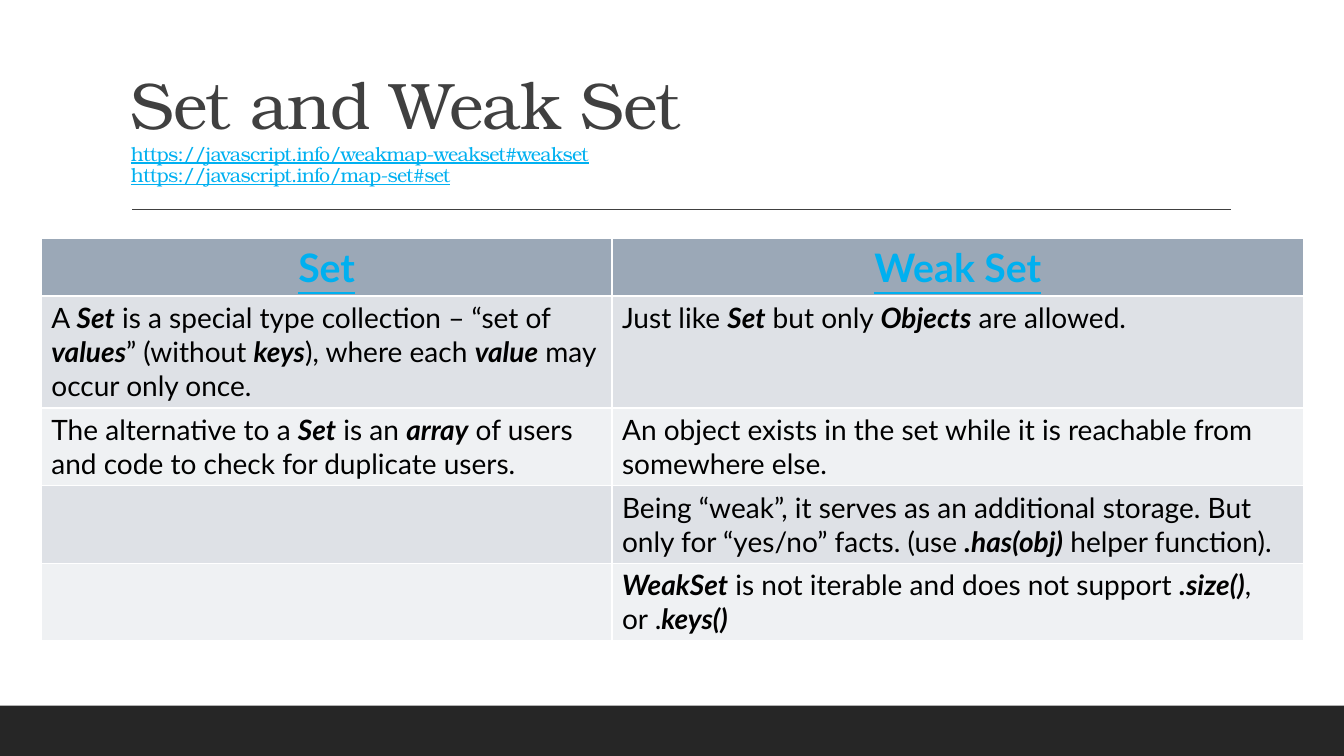
from dataclasses import dataclass

from lxml import etree
from pptx import Presentation
from pptx.dml.color import RGBColor
from pptx.enum.shapes import MSO_CONNECTOR, MSO_SHAPE
from pptx.enum.text import MSO_ANCHOR, PP_ALIGN
from pptx.oxml.ns import qn
from pptx.util import Inches, Pt

RECTANGLE = MSO_SHAPE.RECTANGLE
STRAIGHT = MSO_CONNECTOR.STRAIGHT
BOTTOM = MSO_ANCHOR.BOTTOM
CENTER, LEFT = PP_ALIGN.CENTER, PP_ALIGN.LEFT


@dataclass(frozen=True)
class Theme:
    """Fonts, type sizes and colours of the slide."""
    title_font: str = "TeX Gyre Bonum"
    body_font: str = "Lato"
    title_size: float = 47
    link_size: float = 14
    header_size: float = 28
    body_size: float = 20
    ink: str = "000000"
    grey: str = "404040"
    link: str = "00B0F0"
    footer: str = "262626"
    header_fill: str = "9BA8B7"
    bands: tuple[str, str] = ("DEE1E6", "EFF1F3")


@dataclass(frozen=True)
class TextStyle:
    """Font settings shared by a whole paragraph."""
    name: str
    size: float
    color: str
    bold: bool = False
    underline: bool = False


@dataclass(frozen=True)
class Row:
    """Height and the two texts of a table row, with *emphasis* marked."""
    height: float
    set_text: str
    weak_set_text: str


THEME = Theme()
TITLE = TextStyle(THEME.title_font, THEME.title_size, THEME.grey)
LINK = TextStyle(THEME.title_font, THEME.link_size, THEME.link, underline=True)
HEADER = TextStyle(THEME.body_font, THEME.header_size, THEME.link, True, True)
BODY = TextStyle(THEME.body_font, THEME.body_size, THEME.ink)

TITLE_LINES = [
    ("Set and Weak Set", TITLE),
    ("https://javascript.info/weakmap-weakset#weakset", LINK),
    ("https://javascript.info/map-set#set", LINK),
]
COLUMN_WIDTHS = (5.66, 6.86)
ROWS = [
    Row(0.56, "Set", "Weak Set"),
    Row(1.11,
        "A *Set* is a special type collection – “set of *values*” (without *keys*), "
        "where each *value* may occur only once.",
        "Just like *Set* but only *Objects* are allowed."),
    Row(0.77,
        "The alternative to a *Set* is an *array* of users and code to check for "
        "duplicate users.",
        "An object exists in the set while it is reachable from somewhere else."),
    Row(0.77, "",
        "Being “weak”, it serves as an additional storage. But only for “yes/no” "
        "facts. (use *.has(obj)* helper function)."),
    Row(0.77, "",
        "*WeakSet* is not iterable and does not support *.size()*, or .*keys()*"),
]


def rgb(color: str) -> RGBColor:
    """Convert a hex string to a colour."""
    return RGBColor.from_string(color)


def style_paragraph(p, style: TextStyle) -> None:
    """Apply a text style to a paragraph."""
    p.font.name = style.name
    p.font.size = Pt(style.size)
    p.font.color.rgb = rgb(style.color)
    p.font.bold = style.bold
    p.font.underline = style.underline


def add_footer(slide) -> None:
    """Draw the dark band along the bottom edge."""
    sp = slide.shapes.add_shape(
        RECTANGLE, Inches(0), Inches(7), Inches(13.33), Inches(0.5))
    sp.shadow.inherit = False
    sp.fill.solid()
    sp.fill.fore_color.rgb = rgb(THEME.footer)
    sp.line.fill.background()


def add_rule(slide) -> None:
    """Draw the thin line under the title."""
    line = slide.shapes.add_connector(
        STRAIGHT, Inches(1.31), Inches(2.08), Inches(12.21), Inches(2.08))
    line.line.color.rgb = rgb(THEME.grey)
    line.line.width = Pt(1)
    etree.SubElement(line._element.spPr, qn("a:effectLst"))


def add_title(slide) -> None:
    """Write the title with its two addresses below."""
    sp = slide.shapes.add_textbox(
        Inches(1.2), Inches(0.31), Inches(11), Inches(1.59))
    tf = sp.text_frame
    tf.word_wrap = True
    tf.vertical_anchor = BOTTOM
    for i, (text, style) in enumerate(TITLE_LINES):
        p = tf.add_paragraph() if i else tf.paragraphs[0]
        p.line_spacing = 0.9
        style_paragraph(p, style)
        p.font._rPr.set("spc", "-50")
        p.add_run().text = text


def fill_cell(cell, text: str, style: TextStyle, fill: str, align: PP_ALIGN) -> None:
    """Colour a cell and write its text, with marked parts in bold italic."""
    cell.fill.solid()
    cell.fill.fore_color.rgb = rgb(fill)
    p = cell.text_frame.paragraphs[0]
    p.alignment = align
    style_paragraph(p, style)
    for i, part in enumerate(text.split("*")):
        if part:
            r = p.add_run()
            r.text = part
            r.font.bold = style.bold or i % 2 == 1
            r.font.italic = i % 2 == 1


def add_comparison(slide) -> None:
    """Build the table that compares the two collections."""
    table = slide.shapes.add_table(
        len(ROWS), len(COLUMN_WIDTHS), Inches(0.41), Inches(2.37),
        Inches(sum(COLUMN_WIDTHS)), Inches(sum(row.height for row in ROWS))).table
    for column, width in zip(table.columns, COLUMN_WIDTHS):
        column.width = Inches(width)
    for i, row in enumerate(ROWS):
        table.rows[i].height = Inches(row.height)
        style, fill, align = (
            (BODY, THEME.bands[(i - 1) % 2], LEFT) if i
            else (HEADER, THEME.header_fill, CENTER))
        for j, text in enumerate((row.set_text, row.weak_set_text)):
            fill_cell(table.cell(i, j), text, style, fill, align)


def main() -> None:
    """Build and save the slide."""
    prs = Presentation()
    prs.slide_width, prs.slide_height = Inches(13.33), Inches(7.5)
    slide = prs.slides.add_slide(prs.slide_layouts[6])
    add_footer(slide)
    add_rule(slide)
    add_title(slide)
    add_comparison(slide)
    prs.save("out.pptx")


if __name__ == "__main__":
    main()
